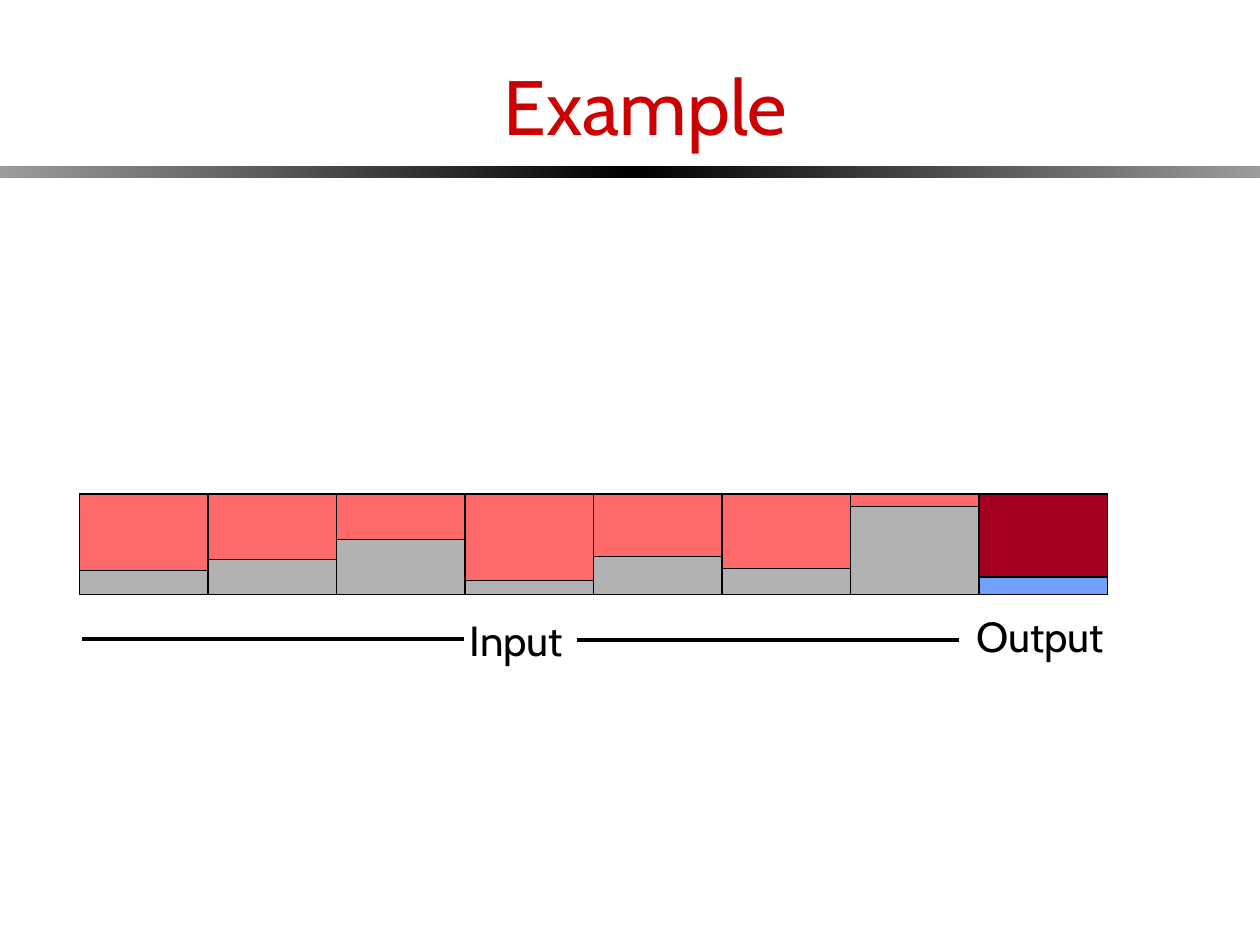
"""Build a slide with a row of partly filled input and output buffers."""
from typing import NamedTuple

from lxml.etree import SubElement
from pptx import Presentation
from pptx.dml.color import RGBColor
from pptx.enum.shapes import MSO_CONNECTOR as Link, MSO_SHAPE as Kind
from pptx.enum.text import MSO_ANCHOR as Anchor, MSO_AUTO_SIZE as Fit, PP_ALIGN as Align
from pptx.oxml.ns import qn
from pptx.util import Pt

FONT = "Cabin"
BLACK, EDGE = "000000", "9B9B9B"
LEFT, TOP, WIDE, HIGH = 45.36, 282.24, 73.44, 57.6


class Buffer(NamedTuple):
    used: float
    base: str = "B2B2B2"
    fill: str = "FF6969"


class Label(NamedTuple):
    text: str
    x: float
    y: float
    w: float


class Rule(NamedTuple):
    start: float
    end: float
    y: float


BUFFERS = [Buffer(used) for used in (43.92, 37.44, 25.92, 49.68, 36, 42.48, 7.2)]
BUFFERS.append(Buffer(47.52, "71A0FF", "A50021"))
LABELS = [Label("Input", 261.36, 347.76, 75.6), Label("Output", 550.8, 345.6, 95.04)]
RULES = [Rule(264.96, 46.8, 365.04), Rule(547.92, 329.76, 365.76)]


def color(code: str) -> RGBColor:
    return RGBColor.from_string(code)


def style(part, size: float, code: str) -> None:
    part.font.name = FONT
    part.font.size = Pt(size)
    part.font.color.rgb = color(code)


def rect(slide, x: float, y: float, w: float, h: float):
    box = slide.shapes.add_shape(Kind.RECTANGLE, Pt(x), Pt(y), Pt(w), Pt(h))
    box.shadow.inherit = False
    return box


def block(slide, x: float, h: float, code: str) -> None:
    box = rect(slide, x, TOP, WIDE, h)
    box.fill.solid()
    box.fill.fore_color.rgb = color(code)
    box.line.color.rgb = color(BLACK)
    box.line.width = Pt(0.75)


def fade(slide, x: float, first: str, last: str) -> None:
    bar = rect(slide, x, 95.04, 360, 6.48)
    bar.line.fill.background()
    bar.fill.gradient()
    bar.fill.gradient_angle = 0
    for stop, place, code in zip(bar.fill.gradient_stops, (0, 1), (first, last)):
        stop.position = place
        stop.color.rgb = color(code)


def head(slide, text: str) -> None:
    title = slide.shapes.title
    title.left, title.top, title.width, title.height = Pt(39.6), Pt(0), Pt(658.8), Pt(90)
    frame = title.text_frame
    frame.text = text
    frame.auto_size = Fit.NONE
    frame.vertical_anchor = Anchor.BOTTOM
    part = frame.paragraphs[0]
    part.alignment = Align.CENTER
    style(part, 44, "CC0000")


def write(slide, label: Label) -> None:
    box = slide.shapes.add_textbox(Pt(label.x), Pt(label.y), Pt(label.w), Pt(36))
    frame = box.text_frame
    frame.text = label.text
    frame.word_wrap = False
    frame.auto_size = Fit.SHAPE_TO_FIT_TEXT
    style(frame.paragraphs[0], 24, BLACK)


def draw(slide, rule: Rule) -> None:
    line = slide.shapes.add_connector(
        Link.STRAIGHT, Pt(rule.start), Pt(rule.y), Pt(rule.end), Pt(rule.y))
    line.line.color.rgb = color(BLACK)
    line.line.width = Pt(2.25)
    SubElement(line._element.spPr, qn("a:effectLst"))


def main() -> None:
    deck = Presentation()
    deck.slide_width, deck.slide_height = Pt(720), Pt(540)
    slide = deck.slides.add_slide(deck.slide_layouts[5])
    fade(slide, 0, EDGE, BLACK)
    fade(slide, 360, BLACK, EDGE)
    head(slide, "Example")
    for i, item in enumerate(BUFFERS):
        block(slide, LEFT + i * WIDE, HIGH, item.base)
    for label in LABELS:
        write(slide, label)
    for rule in RULES:
        draw(slide, rule)
    for i, item in enumerate(BUFFERS):
        block(slide, LEFT + i * WIDE, item.used, item.fill)
    deck.save("out.pptx")


if __name__ == "__main__":
    main()
